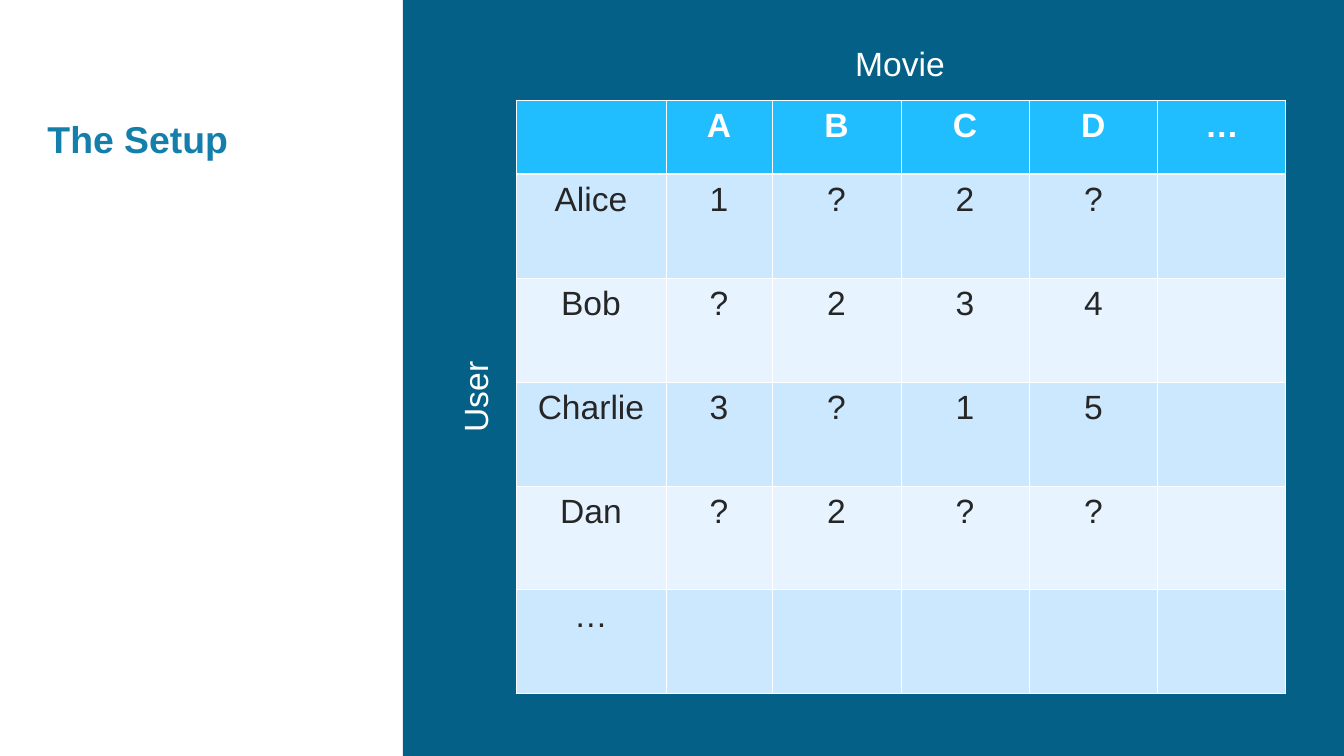
from lxml import etree
from pptx import Presentation
from pptx import util as u
from pptx.dml.color import RGBColor
from pptx.enum import shapes, text
from pptx.oxml.ns import qn

WHITE = RGBColor(0xFF, 0xFF, 0xFF)
INK = RGBColor(0x26, 0x26, 0x26)
PANEL = RGBColor(0x04, 0x60, 0x86)
TITLE = RGBColor(0x15, 0x7F, 0xAB)
HEADER = RGBColor(0x20, 0xBE, 0xFF)
BANDS = (RGBColor(0xE7, 0xF4, 0xFF), RGBColor(0xCC, 0xE8, 0xFF))

EMU_PER_PX = 914400 / 134.4
THIN, THICK = 0.45, 1.47

RATINGS = [
    ["", "A", "B", "C", "D", "…"],
    ["Alice", "1", "?", "2", "?", ""],
    ["Bob", "?", "2", "3", "4", ""],
    ["Charlie", "3", "?", "1", "5", ""],
    ["Dan", "?", "2", "?", "?", ""],
    ["…", "", "", "", "", ""],
]
COLUMN_WIDTHS = [150, 106, 129, 128, 129, 128]
ROW_HEIGHTS = [74] + [104] * 5


def px(length):
    return u.Emu(round(length * EMU_PER_PX))


class SlideBuilder:
    font_name = "Arial"
    font_size = 18

    def __init__(self, slide):
        self.slide = slide

    def set_text(self, frame, words, color, size=font_size, bold=False,
                 align=text.PP_ALIGN.CENTER):
        frame.text = words
        paragraph = frame.paragraphs[0]
        paragraph.alignment = align
        for run in paragraph.runs:
            run.font.name = self.font_name
            run.font.size = u.Pt(size)
            run.font.bold = bold
            run.font.color.rgb = color

    def title(self, words, *box):
        shape = self.slide.shapes.title
        shape.left, shape.top, shape.width, shape.height = map(px, box)
        frame = shape.text_frame
        frame.auto_size = text.MSO_AUTO_SIZE.NONE
        frame.vertical_anchor = text.MSO_ANCHOR.TOP
        self.set_text(frame, words, TITLE, 20, True, text.PP_ALIGN.LEFT)

    def panel(self, color, *box):
        shape = self.slide.shapes.add_shape(
            shapes.MSO_SHAPE.RECTANGLE, *map(px, box))
        shape.shadow.inherit = False
        shape.fill.solid()
        shape.fill.fore_color.rgb = color
        shape.line.fill.background()

    def label(self, words, *box, rotation=0):
        shape = self.slide.shapes.add_textbox(*map(px, box))
        shape.rotation = rotation
        shape.text_frame.word_wrap = True
        self.set_text(shape.text_frame, words, WHITE)

    def borders(self, cell, top, bottom):
        properties = cell._tc.get_or_add_tcPr()
        widths = {"a:lnL": THIN, "a:lnR": THIN, "a:lnT": top, "a:lnB": bottom}
        for tag, width in widths.items():
            line = etree.SubElement(properties, qn(tag), w=str(int(u.Pt(width))))
            fill = etree.SubElement(line, qn("a:solidFill"))
            etree.SubElement(fill, qn("a:srgbClr"), val=str(WHITE))

    def table(self, rows, left, top, widths, heights):
        frame = self.slide.shapes.add_table(
            len(rows), len(widths), px(left), px(top),
            px(sum(widths)), px(sum(heights)))
        table = frame.table
        for column, width in zip(table.columns, widths):
            column.width = px(width)
        for row, height in zip(table.rows, heights):
            row.height = px(height)
        for i, values in enumerate(rows):
            header = i == 0
            for j, value in enumerate(values):
                cell = table.cell(i, j)
                self.borders(cell, THICK if i == 1 else THIN,
                             THICK if header else THIN)
                cell.fill.solid()
                cell.fill.fore_color.rgb = HEADER if header else BANDS[i % 2]
                self.set_text(cell.text_frame, value,
                              WHITE if header else INK, bold=header)


def main():
    presentation = Presentation()
    presentation.slide_width, presentation.slide_height = px(1344), px(756)
    slide = presentation.slides.add_slide(presentation.slide_layouts[5])
    builder = SlideBuilder(slide)

    # Coloured panel and title beside it
    builder.panel(PANEL, 403, 0, 941, 756)
    builder.title("The Setup", 34, 109, 258, 133)

    # Rating matrix with its axis labels
    builder.table(RATINGS, 516, 100, COLUMN_WIDTHS, ROW_HEIGHTS)
    builder.label("User", 176, 370, 598, 54, rotation=270)
    builder.label("Movie", 511, 36, 778, 54)

    presentation.save("out.pptx")


if __name__ == "__main__":
    main()
